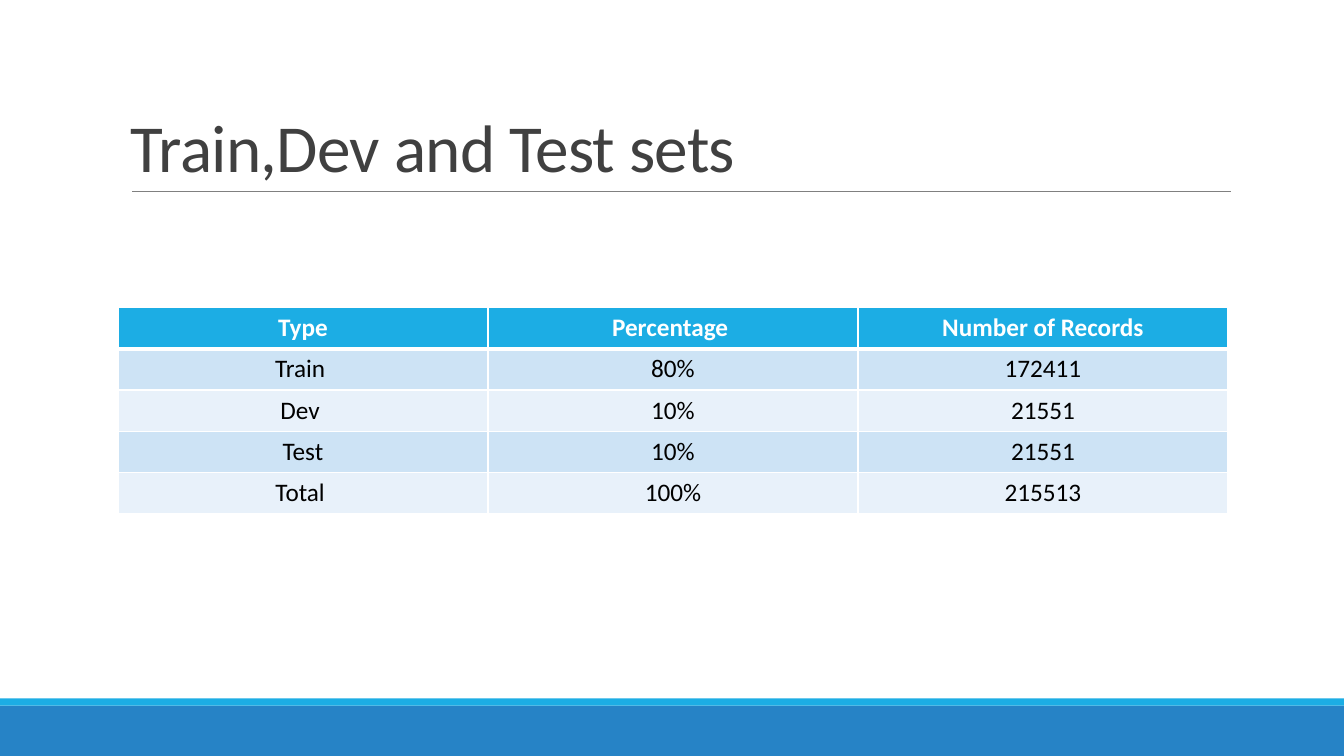
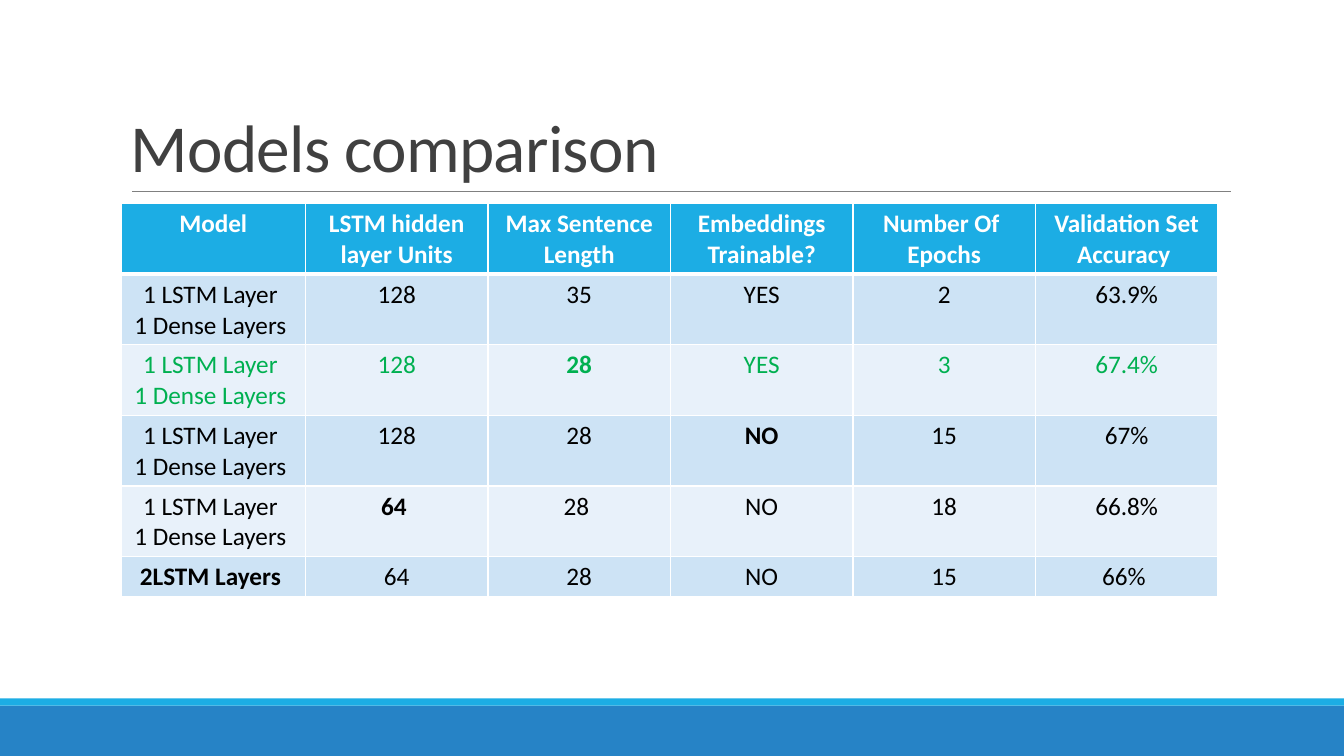
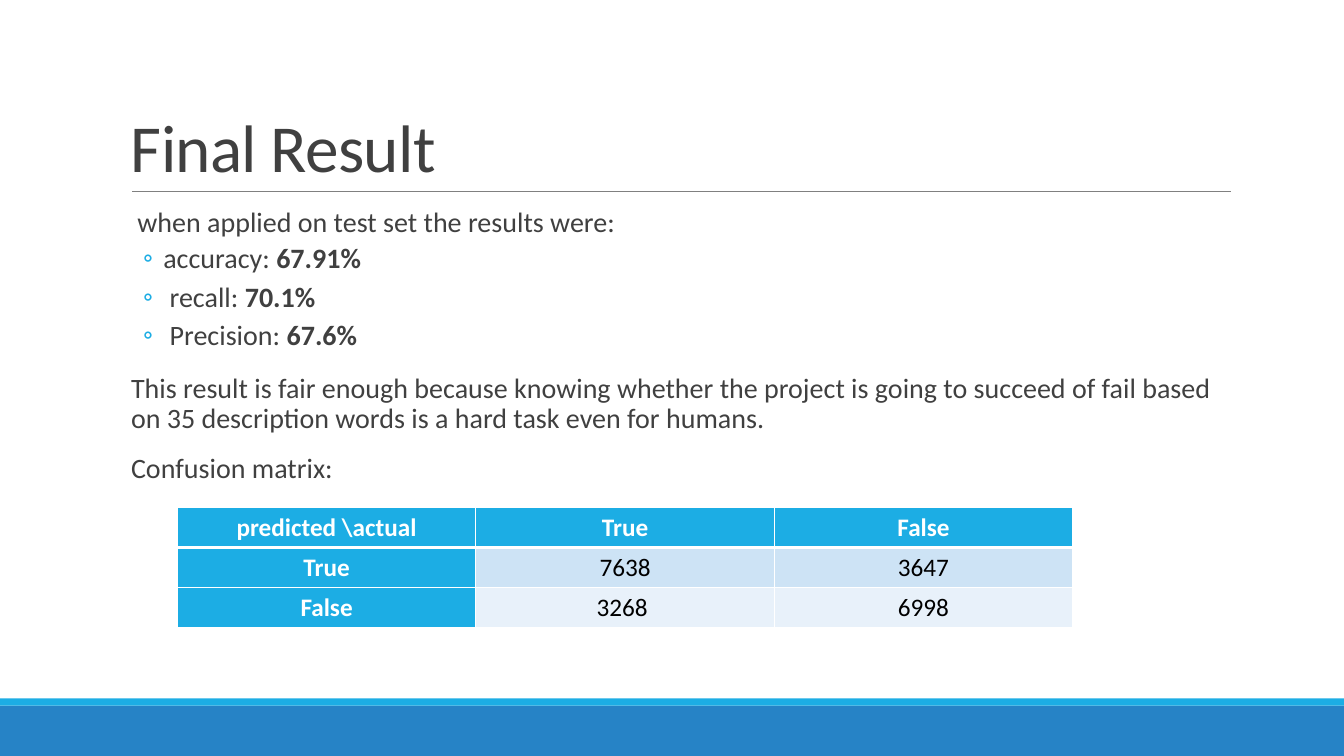
from lxml.etree import SubElement
from pptx import Presentation
from pptx.dml.color import RGBColor
from pptx.enum.shapes import MSO_CONNECTOR, MSO_SHAPE
from pptx.enum.text import MSO_ANCHOR, PP_ALIGN
from pptx.oxml.ns import qn
from pptx.util import Inches, Pt

COLORS = {"band": "2683C6", "accent": "1CADE4", "rule": "808080",
          "text": "404040", "black": "000000", "white": "FFFFFF",
          "best": "00B050", "odd": "CDE3F5", "even": "E8F1FA"}
FONT = "Calibri"


def rgb(name):
    return RGBColor.from_string(COLORS[name])


def write(p, text, size=18, color="black", bold=False, spacing=None):
    """Add text to a paragraph; a vertical tab marks a line break."""
    for i, part in enumerate(text.split("\v")):
        if i:
            p.add_line_break()
        r = p.add_run()
        r.text = part
        r.font.name, r.font.size, r.font.bold = FONT, Pt(size), bold
        r.font.color.rgb = rgb(color)
        if spacing is not None:
            r.font._element.set("spc", str(int(spacing * 100)))


class Deck:
    def __init__(self):
        self.prs = Presentation()
        self.prs.slide_width, self.prs.slide_height = Inches(13.33), Inches(7.5)
        self.s = None

    def slide(self, title):
        self.s = self.prs.slides.add_slide(self.prs.slide_layouts[6])
        self.band(7, 0.5, "band")
        self.band(6.93, 0.07, "accent")
        self.rule(1.31, 12.21, 1.9)
        tf = self.textbox(1.2, 0.31, 11, 1.59)
        tf.vertical_anchor = MSO_ANCHOR.BOTTOM
        p = tf.paragraphs[0]
        p.line_spacing = 0.85
        write(p, title, size=48, color="text", spacing=-0.5)

    def band(self, top, height, color):
        sp = self.s.shapes.add_shape(MSO_SHAPE.RECTANGLE, 0, Inches(top),
                                     self.prs.slide_width, Inches(height))
        sp.shadow.inherit = False
        sp.fill.solid()
        sp.fill.fore_color.rgb = rgb(color)
        sp.line.fill.background()

    def rule(self, left, right, y):
        line = self.s.shapes.add_connector(MSO_CONNECTOR.STRAIGHT, Inches(left),
                                           Inches(y), Inches(right), Inches(y))
        line.line.color.rgb = rgb("rule")
        line.line.width = Pt(0.5)
        SubElement(line._element.spPr, qn("a:effectLst"))

    def textbox(self, left, top, width, height):
        tf = self.s.shapes.add_textbox(Inches(left), Inches(top),
                                       Inches(width), Inches(height)).text_frame
        tf.word_wrap = True
        return tf

    def body(self, items, left, top, width, height):
        """A string is a paragraph; a (label, value) pair is a bullet."""
        tf = self.textbox(left, top, width, height)
        tf.margin_left = tf.margin_right = 0
        for i, item in enumerate(items):
            p = tf.paragraphs[0] if i == 0 else tf.add_paragraph()
            p.line_spacing = 0.9
            if isinstance(item, str):
                p.space_before, p.space_after = Pt(12), Pt(2)
                p._p.get_or_add_pPr().set("marL", str(Inches(0.1)))
                write(p, item, size=20, color="text")
            else:
                p.space_before, p.space_after = Pt(2), Pt(4)
                self.bullet(p)
                label, value = item
                write(p, label, size=20, color="text")
                write(p, value, size=20, color="text", bold=True)

    def bullet(self, p):
        p.level = 1
        pPr = p._p.get_or_add_pPr()
        pPr.set("marL", str(Inches(0.42)))
        pPr.set("indent", str(Inches(-0.2)))
        color = SubElement(pPr, qn("a:buClr"))
        SubElement(color, qn("a:srgbClr"), val=COLORS["accent"])
        SubElement(pPr, qn("a:buFont"), typeface=FONT)
        SubElement(pPr, qn("a:buChar"), char="◦")

    def borders(self, cell, top, bottom):
        tcPr = cell._tc.get_or_add_tcPr()
        for side, width in (("L", 1), ("R", 1), ("T", top), ("B", bottom)):
            ln = SubElement(tcPr, qn("a:ln" + side), w=str(Pt(width)))
            fill = SubElement(ln, qn("a:solidFill"))
            SubElement(fill, qn("a:srgbClr"), val=COLORS["white"])

    def table(self, rows, left, top, widths, heights, bold=(), best=None,
              head_col=False):
        t = self.s.shapes.add_table(len(rows), len(widths), Inches(left),
                                    Inches(top), Inches(sum(widths)),
                                    Inches(sum(heights))).table
        t.horz_banding = False
        for col, width in zip(t.columns, widths):
            col.width = Inches(width)
        for i, row in enumerate(rows):
            t.rows[i].height = Inches(heights[i])
            for j, text in enumerate(row):
                cell = t.cell(i, j)
                head = i == 0 or (head_col and j == 0)
                self.borders(cell, 3 if i == 1 else 1, 3 if i == 0 else 1)
                cell.fill.solid()
                cell.fill.fore_color.rgb = rgb(
                    "accent" if head else "odd" if i % 2 else "even")
                color = "white" if head else "best" if i == best else "black"
                tf = cell.text_frame
                for k, line in enumerate(text.split("\n")):
                    p = tf.paragraphs[0] if k == 0 else tf.add_paragraph()
                    p.alignment = PP_ALIGN.CENTER
                    write(p, line, color=color, bold=head or (i, j) in bold)


deck = Deck()

# Data split
deck.slide("Train,Dev and Test sets ")
deck.table([("Type", "Percentage ", "Number of Records"),
            ("Train ", "80%", "172411"),
            ("Dev ", "10%", "21551"),
            ("Test", "10%", "21551"),
            ("Total ", "100%", "215513")],
           1.17, 3.05, [3.67] * 3, [0.41] * 5)

# Model comparison
deck.slide("Models comparison ")
LAYERS = "1 LSTM Layer \v1 Dense Layers "
deck.table([("Model", "LSTM hidden layer Units", "Max Sentence Length",
             "Embeddings\nTrainable?", "Number Of \nEpochs",
             "Validation Set Accuracy "),
            (LAYERS, "128", "35", "YES", "2", "63.9%"),
            (LAYERS, "128", "28", "YES", "3", "67.4%"),
            (LAYERS, "128", "28", "NO", "15", "67%"),
            (LAYERS, "64 ", "28 ", "NO", "18", "66.8%"),
            ("2LSTM Layers ", "64", "28", "NO", "15", "66% ")],
           1.2, 2.02, [1.83] + [1.81] * 5, [0.7] * 5 + [0.4],
           bold={(2, 2), (3, 3), (4, 1), (5, 0)}, best=2)

# Test results and confusion matrix
deck.slide("Final Result")
deck.body([" when applied on test set the results were:",
           ("accuracy: ", "67.91%"),
           (" recall: ", "70.1%"),
           (" Precision: ", "67.6%"),
           "This result is fair enough because knowing whether the project is "
           "going to succeed of fail based on 35 description words is a hard "
           "task even for humans. ",
           "Confusion matrix: "],
          1.2, 2.02, 11, 4.4)
deck.table([("predicted \\actual", "True", "False"),
            ("True", "7638", "3647"),
            ("False", "3268 ", "6998")],
           1.76, 5.03, [2.96] * 3, [0.4] * 3, head_col=True)

deck.prs.save("out.pptx")
